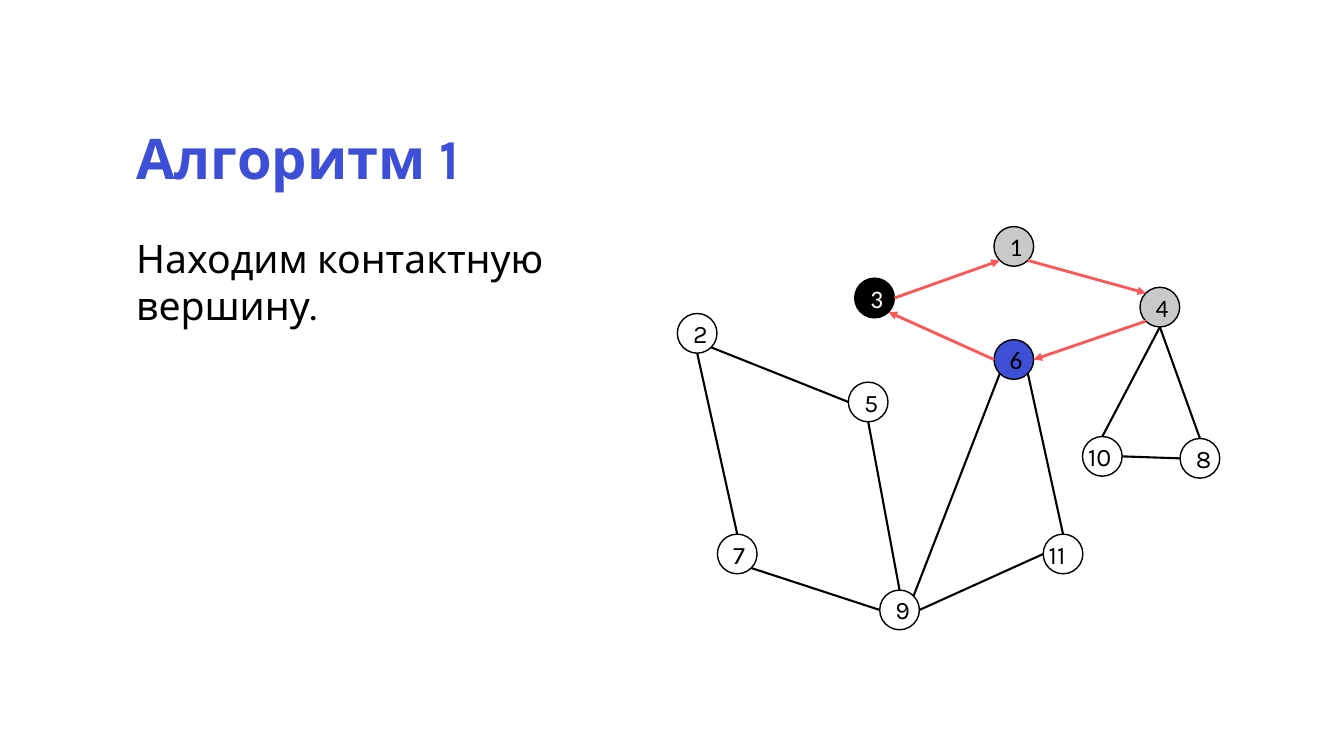
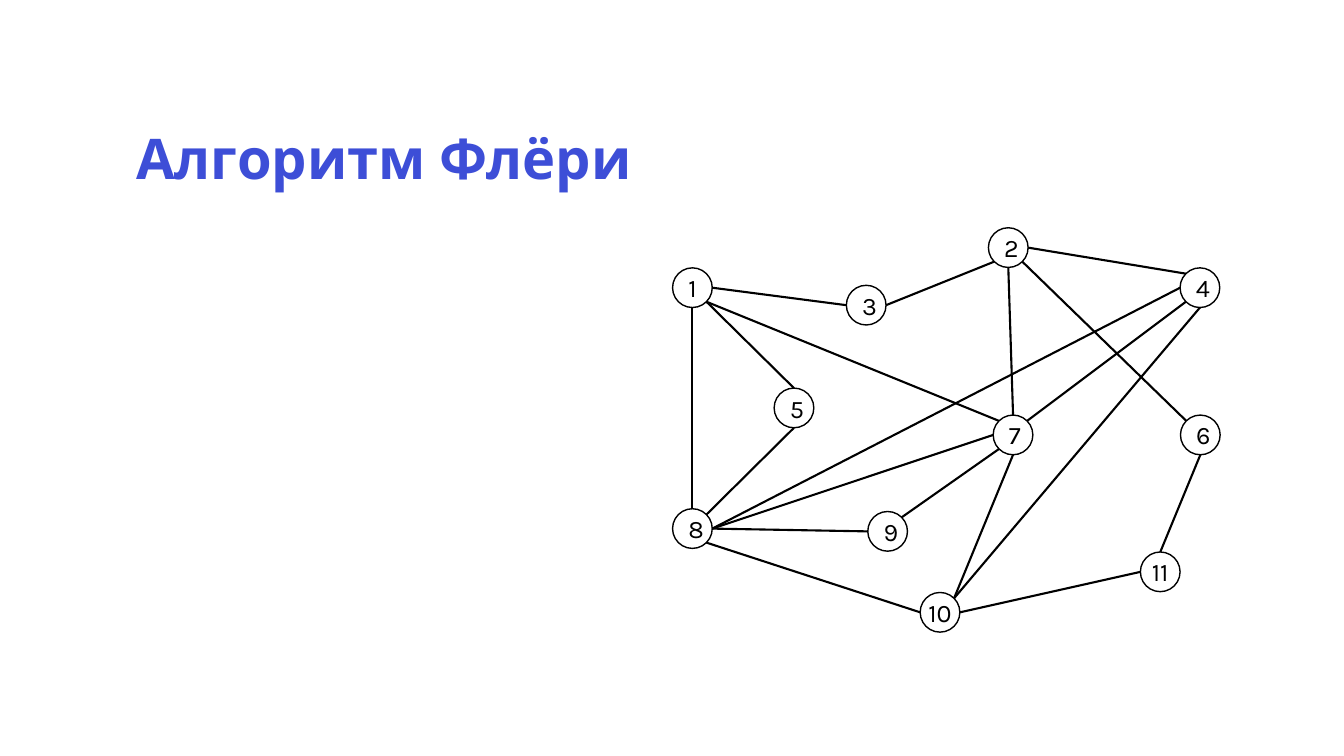
from dataclasses import dataclass
from math import cos, radians, sin

from lxml.etree import SubElement
from pptx import Presentation
from pptx.dml.color import RGBColor
from pptx.enum.shapes import MSO_CONNECTOR, MSO_SHAPE
from pptx.enum.text import MSO_ANCHOR, PP_ALIGN
from pptx.oxml.ns import qn
from pptx.util import Cm, Pt


@dataclass(frozen=True)
class Theme:
    blue: str = "3D4ED7"
    black: str = "000000"
    white: str = "FFFFFF"
    grey: str = "C9C9C9"
    red: str = "FF5555"
    font: str = "Karla"
    alt: str = "Calibri"
    title: int = 40
    body: int = 28
    label: int = 18
    rim: float = 1
    edge: float = 1.5
    arrow: float = 2


T = Theme()
RAD = 0.5  # node radius, cm
GRAPH = (17, 5.7)  # left and top of the graph area, cm
SIDES = {name: radians(45 * i) for i, name in
         enumerate(("E", "SE", "S", "SW", "W", "NW", "N", "NE"))}


def rgb(code):
    return RGBColor.from_string(code)


def write(frame, text, size=T.label, color=T.black, font=T.font, bold=False,
          align=PP_ALIGN.LEFT, anchor=MSO_ANCHOR.TOP, space=None):
    frame.word_wrap = True
    frame.vertical_anchor = anchor
    para = frame.paragraphs[0]
    para.alignment = align
    para.line_spacing = space
    run = para.add_run()
    run.text = text
    run.font.size = Pt(size)
    run.font.name = font
    run.font.bold = bold
    run.font.color.rgb = rgb(color)


def add_text(slide, box, text, **form):
    shape = slide.shapes.add_textbox(*map(Cm, box))
    write(shape.text_frame, text, **form)


def add_node(slide, x, y, num, fill=T.white, color=T.black, font=T.font,
             align=PP_ALIGN.CENTER):
    disc = slide.shapes.add_shape(
        MSO_SHAPE.OVAL, Cm(x - RAD), Cm(y - RAD), Cm(2 * RAD), Cm(2 * RAD))
    disc.shadow.inherit = False
    disc.fill.solid()
    disc.fill.fore_color.rgb = rgb(fill)
    disc.line.color.rgb = rgb(T.black)
    disc.line.width = Pt(T.rim)
    form = dict(color=color, font=font, anchor=MSO_ANCHOR.MIDDLE)
    if num < 10:
        write(disc.text_frame, str(num), align=PP_ALIGN.CENTER, **form)
    else:  # two digits need a box wider than the disc
        add_text(slide, (x - 0.61, y - 0.51, 1.22, 1.02), str(num),
                 align=align, **form)


def add_edge(slide, start, end, arrow=False):
    line = slide.shapes.add_connector(
        MSO_CONNECTOR.STRAIGHT, *map(Cm, (*start, *end)))
    line.line.color.rgb = rgb(T.red if arrow else T.black)
    line.line.width = Pt(T.arrow if arrow else T.edge)
    if arrow:
        SubElement(line.line._get_or_add_ln(), qn("a:tailEnd"), type="triangle")
    SubElement(line._element.spPr, qn("a:effectLst"))


def add_graph(slide, box, nodes, edges, arrows="", marks=None,
              align=PP_ALIGN.CENTER):
    """Edges read as "node side node side", split by commas."""
    left, top = box
    spots = {num: (left + x, top + y) for num, (x, y) in nodes.items()}

    def site(num, side):
        x, y = spots[int(num)]
        turn = SIDES[side]
        return x + RAD * cos(turn), y + RAD * sin(turn)

    # Nodes
    for num, (x, y) in spots.items():
        add_node(slide, x, y, num, align=align, **(marks or {}).get(num, {}))
    # Edges, then arrows
    for links, head in ((edges, False), (arrows, True)):
        for link in filter(None, links.split(",")):
            a, out, b, into = link.split()
            add_edge(slide, site(a, out), site(b, into), head)


def add_page(deck, title, width):
    slide = deck.slides.add_slide(deck.slide_layouts[6])
    add_text(slide, (3.18, 3.18, width, 1.96), title, size=T.title,
             color=T.blue, bold=True, space=0.9)
    return slide


def add_cycle(deck):
    slide = add_page(deck, "Алгоритм 1", 27.56)
    add_text(slide, (3.18, 5.77, 12.83, 2.64), "Находим контактную вершину.",
             size=T.body)
    seen = dict(fill=T.grey, font=T.alt)
    add_graph(
        slide, GRAPH,
        nodes={1: (8.55, 0.51), 2: (0.57, 2.7), 3: (5.04, 1.81),
               4: (12.23, 2.04), 5: (4.88, 4.43), 6: (8.55, 3.36),
               7: (1.58, 8.26), 8: (13.24, 5.85), 9: (5.67, 9.67),
               10: (10.78, 5.8), 11: (9.79, 8.26)},
        edges="2 SE 5 W,7 N 2 S,4 S 10 N,8 N 4 S,5 S 9 N,8 W 10 E,"
              "7 SE 9 W,9 E 11 W,9 NE 6 SW,11 N 6 SE",
        arrows="6 W 3 SE,3 E 1 SW,1 SE 4 NW,4 SW 6 E",
        marks={1: seen, 4: seen,
               3: dict(fill=T.black, color=T.white, font=T.alt),
               6: dict(fill=T.blue, font=T.alt)},
        align=PP_ALIGN.LEFT)


def add_fleury(deck):
    slide = add_page(deck, "Алгоритм Флёри", 13.77)
    add_graph(
        slide, GRAPH,
        nodes={1: (0.45, 1.55), 2: (8.41, 0.54), 3: (4.83, 1.99),
               4: (13.24, 1.55), 5: (3.01, 4.58), 6: (13.25, 5.26),
               7: (8.53, 5.26), 8: (0.45, 7.62), 9: (5.37, 7.69),
               10: (6.69, 9.73), 11: (12.24, 8.71)},
        edges="1 E 3 W,1 SE 5 N,1 SE 7 NW,8 N 1 S,2 S 7 N,4 NW 2 E,"
              "4 W 8 E,4 S 10 NE,6 NW 2 SE,3 E 2 SW,5 S 8 NE,6 S 11 N,"
              "8 E 9 W,8 SE 10 W,9 NE 7 SW,4 SW 7 NE,7 W 8 E,"
              "10 NE 7 S,11 W 10 E")


def main():
    deck = Presentation()
    deck.slide_width = Cm(33.87)
    deck.slide_height = Cm(19.05)
    add_cycle(deck)
    add_fleury(deck)
    deck.save("out.pptx")


if __name__ == "__main__":
    main()
